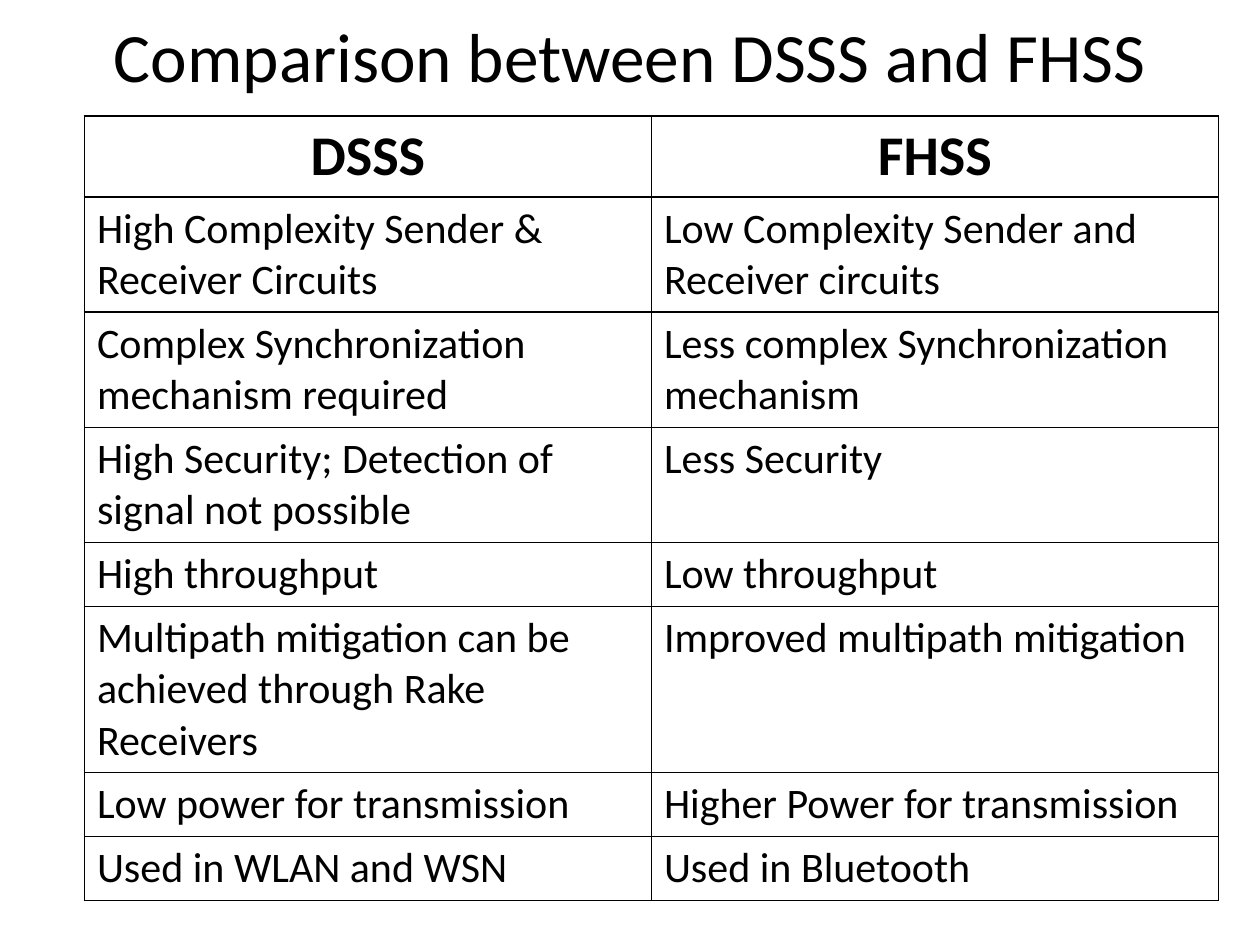
"""Build a slide that compares DSSS and FHSS in a table."""
from lxml import etree
from pptx import Presentation
from pptx.dml.color import RGBColor
from pptx.enum.text import MSO_ANCHOR, MSO_AUTO_SIZE, PP_ALIGN
from pptx.oxml.ns import qn
from pptx.util import Inches, Pt

BLACK = RGBColor(0, 0, 0)
CENTER, LEFT = PP_ALIGN.CENTER, PP_ALIGN.LEFT
MIDDLE, FIXED = MSO_ANCHOR.MIDDLE, MSO_AUTO_SIZE.NONE
FONT = "Calibri"
WIDE, HIGH = 10, 7.5
ROWS = [
    ("DSSS", "FHSS"),
    ("High Complexity Sender & Receiver Circuits",
     "Low Complexity Sender and Receiver circuits"),
    ("Complex Synchronization mechanism required",
     "Less complex Synchronization mechanism"),
    ("High Security; Detection of signal not possible", "Less Security"),
    ("High throughput", "Low throughput"),
    ("Multipath mitigation can be achieved through Rake Receivers",
     "Improved multipath mitigation"),
    ("Low power for transmission", "Higher Power for transmission"),
    ("Used in WLAN and WSN", "Used in Bluetooth"),
]


class Deck:
    def __init__(self):
        self.prs = Presentation()
        self.prs.slide_width, self.prs.slide_height = Inches(WIDE), Inches(HIGH)
        self.slide = self.prs.slides.add_slide(self.prs.slide_layouts[5])

    def box(self, x, y, w, h):
        return [Inches(n) for n in (x * WIDE, y * HIGH, w * WIDE, h * HIGH)]

    def label(self, frame, text, size, align, bold=False):
        frame.text = text
        para = frame.paragraphs[0]
        para.alignment = align
        for run in para.runs:
            font = run.font
            font.name, font.size, font.bold = FONT, Pt(size), bold
            font.color.rgb = BLACK

    def title(self, text, size, *share):
        head = self.slide.shapes.title
        head.left, head.top, head.width, head.height = self.box(*share)
        frame = head.text_frame
        frame.auto_size, frame.vertical_anchor = FIXED, MIDDLE
        self.label(frame, text, size, CENTER)

    def border(self, cell):
        props = cell._tc.get_or_add_tcPr()
        for i, side in enumerate("LRTB"):
            line = etree.Element(qn(f"a:ln{side}"), w=str(Pt(1)))
            fill = etree.SubElement(line, qn("a:solidFill"))
            etree.SubElement(fill, qn("a:srgbClr"), val=str(BLACK))
            props.insert(i, line)

    def table(self, rows, tall, *share):
        place = self.box(*share)
        shape = self.slide.shapes.add_table(len(rows), len(rows[0]), *place)
        grid = shape.table
        grid.first_row = grid.horz_banding = False
        for r, texts in enumerate(rows):
            grid.rows[r].height = Inches(tall)
            size, align, bold = (24, LEFT, False) if r else (32, CENTER, True)
            for c, text in enumerate(texts):
                cell = grid.cell(r, c)
                cell.fill.background()
                self.border(cell)
                self.label(cell.text_frame, text, size, align, bold)
        shape.height = place[3]


def main():
    deck = Deck()
    deck.title("Comparison between DSSS and FHSS", 39.6,
               0.05, 0, 0.9, 0.87 / HIGH)
    deck.table(ROWS, 0.41, 0.67 / WIDE, 0.92 / HIGH, 0.9, 6.13 / HIGH)
    deck.prs.save("out.pptx")


if __name__ == "__main__":
    main()
